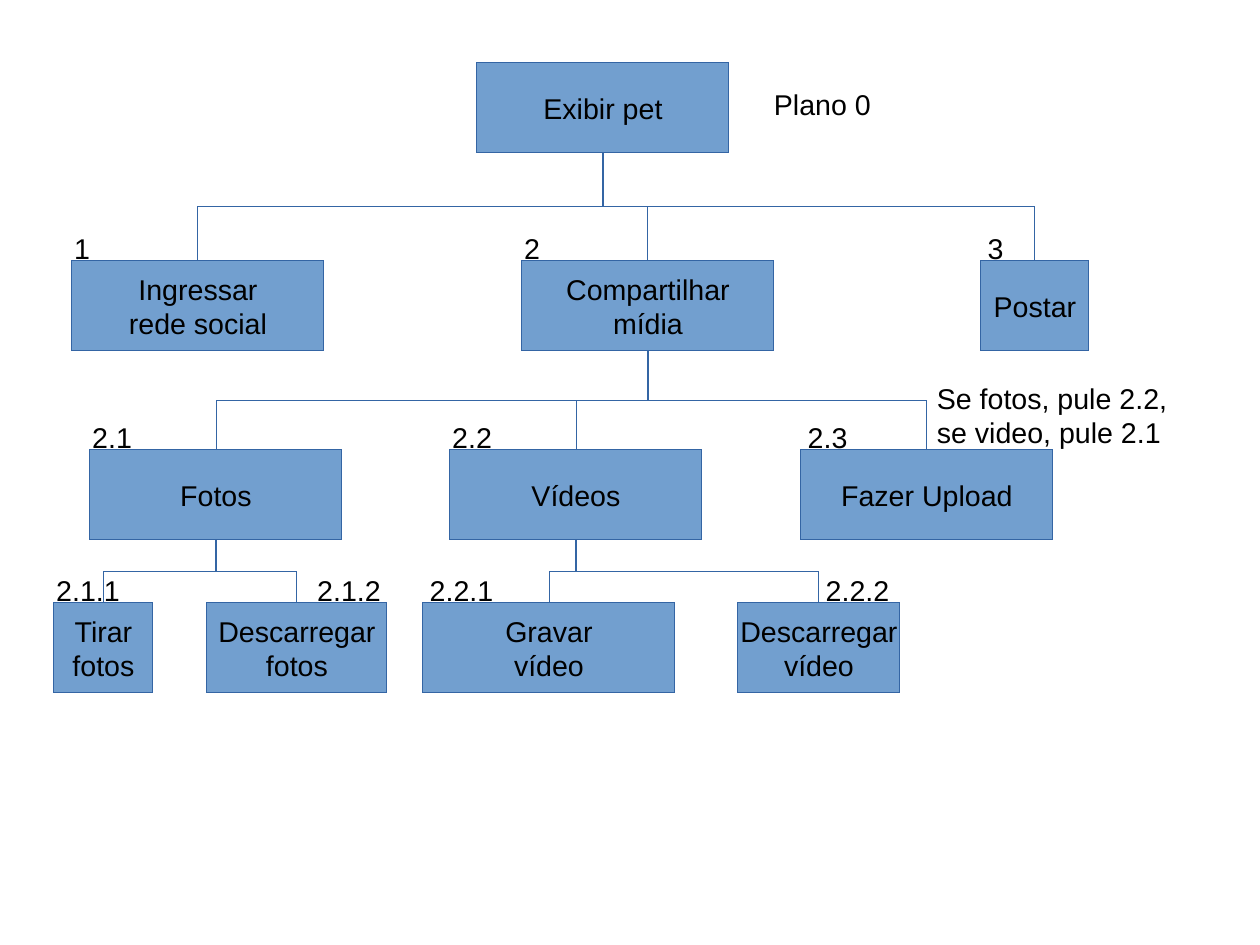
"""Build the task hierarchy for showing a pet on a social network."""
from pptx import Presentation
from pptx.dml.color import RGBColor
from pptx.enum.shapes import MSO_CONNECTOR as Link, MSO_SHAPE as Preset
from pptx.enum.text import MSO_ANCHOR as Anchor, MSO_AUTO_SIZE as AutoSize, PP_ALIGN as Align
from pptx.oxml.ns import qn
from pptx.util import Cm, Pt
from lxml.etree import SubElement

COLORS = {"box": "729FCF", "line": "3465A4", "text": "000000"}
BOX_HEIGHT = 2
ROW_TOPS = [1.4, 5.8, 10, 13.4]

# number, lines, left, width, offset of the number from the box
TASKS = [
    ("", ["Exibir pet"], 10.6, 5.6, 0),
    ("1", ["Ingressar", "rede social"], 1.6, 5.6, -0.2),
    ("2", ["Compartilhar", "mídia"], 11.6, 5.6, -0.2),
    ("3", ["Postar"], 21.8, 2.4, -0.1),
    ("2.1", ["Fotos"], 2, 5.6, -0.2),
    ("2.2", ["Vídeos"], 10, 5.6, -0.2),
    ("2.3", ["Fazer Upload"], 17.8, 5.6, -0.1),
    ("2.1.1", ["Tirar", "fotos"], 1.2, 2.2, -0.2),
    ("2.1.2", ["Descarregar", "fotos"], 4.6, 4, 2.2),
    ("2.2.1", ["Gravar", "vídeo"], 9.4, 5.6, -0.1),
    ("2.2.2", ["Descarregar", "vídeo"], 16.4, 3.6, 1.7),
]


def write(frame, lines, align):
    frame.word_wrap = False
    for index, line in enumerate(lines):
        paragraph = frame.paragraphs[0] if index == 0 else frame.add_paragraph()
        paragraph.alignment = align
        run = paragraph.add_run()
        run.text = line
        run.font.name = "Arial"
        run.font.size = Pt(18)
        run.font.color.rgb = RGBColor.from_string(COLORS["text"])


def draw_hairline(part):
    part.line.color.rgb = RGBColor.from_string(COLORS["line"])
    part._element.spPr.find(qn("a:ln")).set("w", "0")


deck = Presentation()
deck.slide_width, deck.slide_height = Cm(28), Cm(21)
slide = deck.slides.add_slide(deck.slide_layouts[6])

boxes = {}
labels = [
    (["Plano 0"], 16.95, 1.8, 2.8, 0.97),
    (["Se fotos, pule 2.2,", "se video, pule 2.1"], 20.57, 8.33, 6.6, 1.7),
]
for number, lines, left, width, offset in TASKS:
    top = ROW_TOPS[len(number.split(".")) if number else 0]
    box = slide.shapes.add_shape(Preset.RECTANGLE, Cm(left), Cm(top), Cm(width), Cm(BOX_HEIGHT))
    box.shadow.inherit = False
    box.fill.solid()
    box.fill.fore_color.rgb = RGBColor.from_string(COLORS["box"])
    draw_hairline(box)
    box.text_frame.vertical_anchor = Anchor.MIDDLE
    write(box.text_frame, lines, Align.CENTER)
    boxes[number] = box
    if number:
        labels.append(([number], left + offset, top - 0.8, 0.7 + 0.26 * len(number), 0.97))

for number, child in boxes.items():
    if not number:
        continue
    parent = boxes[number.rpartition(".")[0]]
    start_x, start_y = parent.left + parent.width // 2, parent.top + parent.height
    end_x, end_y = child.left + child.width // 2, child.top
    branch = slide.shapes.add_connector(Link.ELBOW, start_x, start_y, end_x, end_y)
    branch.begin_connect(parent, 2)
    branch.end_connect(child, 0)
    draw_hairline(branch)

    drop, spread = end_y - start_y, abs(end_x - start_x)
    branch.left = (start_x + end_x - drop) // 2
    branch.top = (start_y + end_y - spread) // 2
    branch.width, branch.height = drop, spread
    goes_right = end_x > start_x
    properties = branch._element.spPr
    frame = properties.find(qn("a:xfrm"))
    frame.set("rot", "16200000" if goes_right else "5400000")
    frame.set("flipH", "1" if goes_right else "0")
    frame.set("flipV", "0")
    SubElement(properties, qn("a:effectLst"))

for lines, left, top, width, height in labels:
    label = slide.shapes.add_textbox(Cm(left), Cm(top), Cm(width), Cm(height))
    write(label.text_frame, lines, Align.LEFT)
    label.text_frame.auto_size = AutoSize.SHAPE_TO_FIT_TEXT

deck.save("out.pptx")
